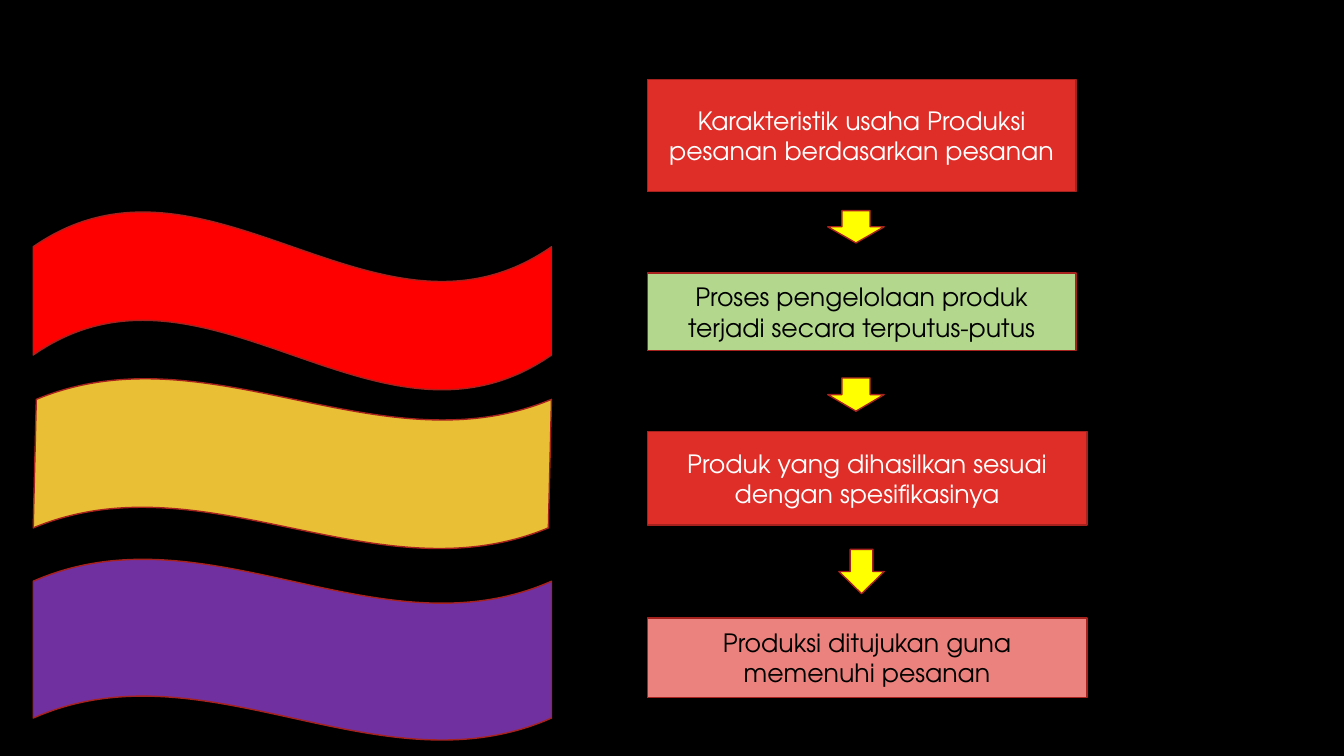
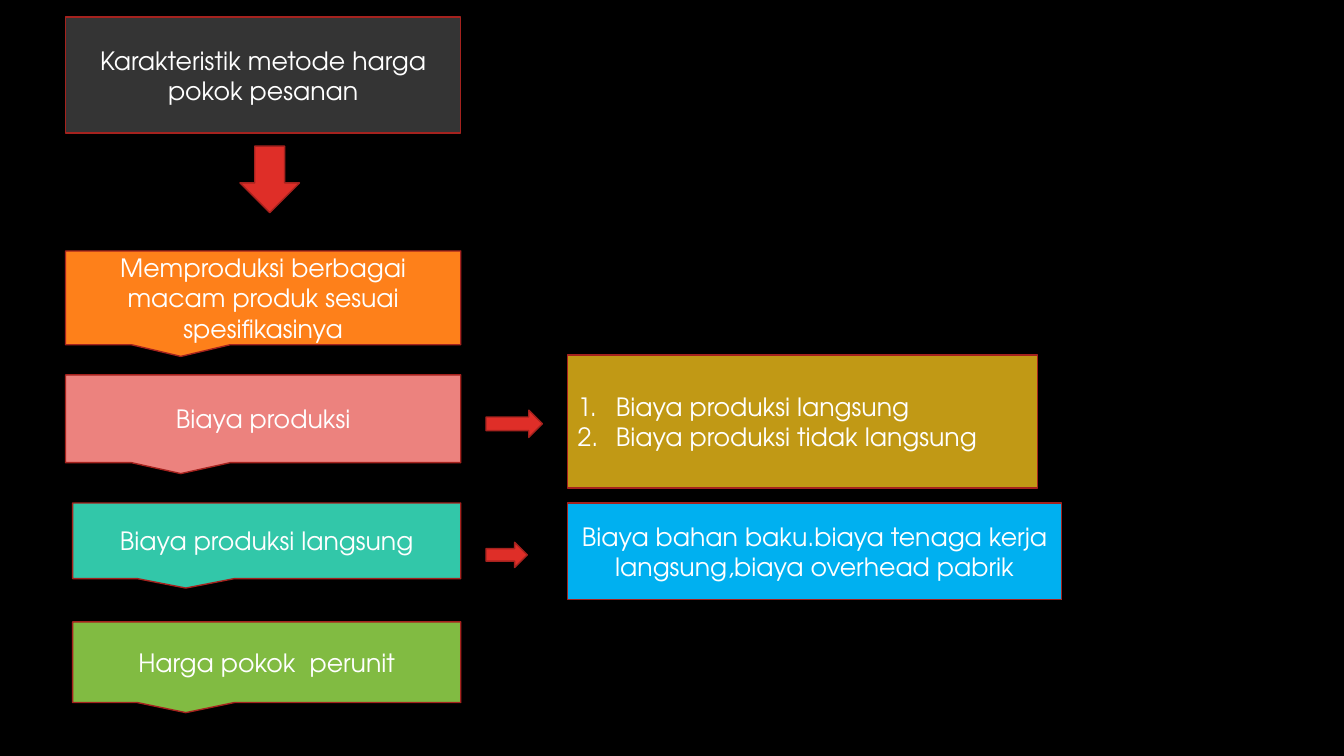
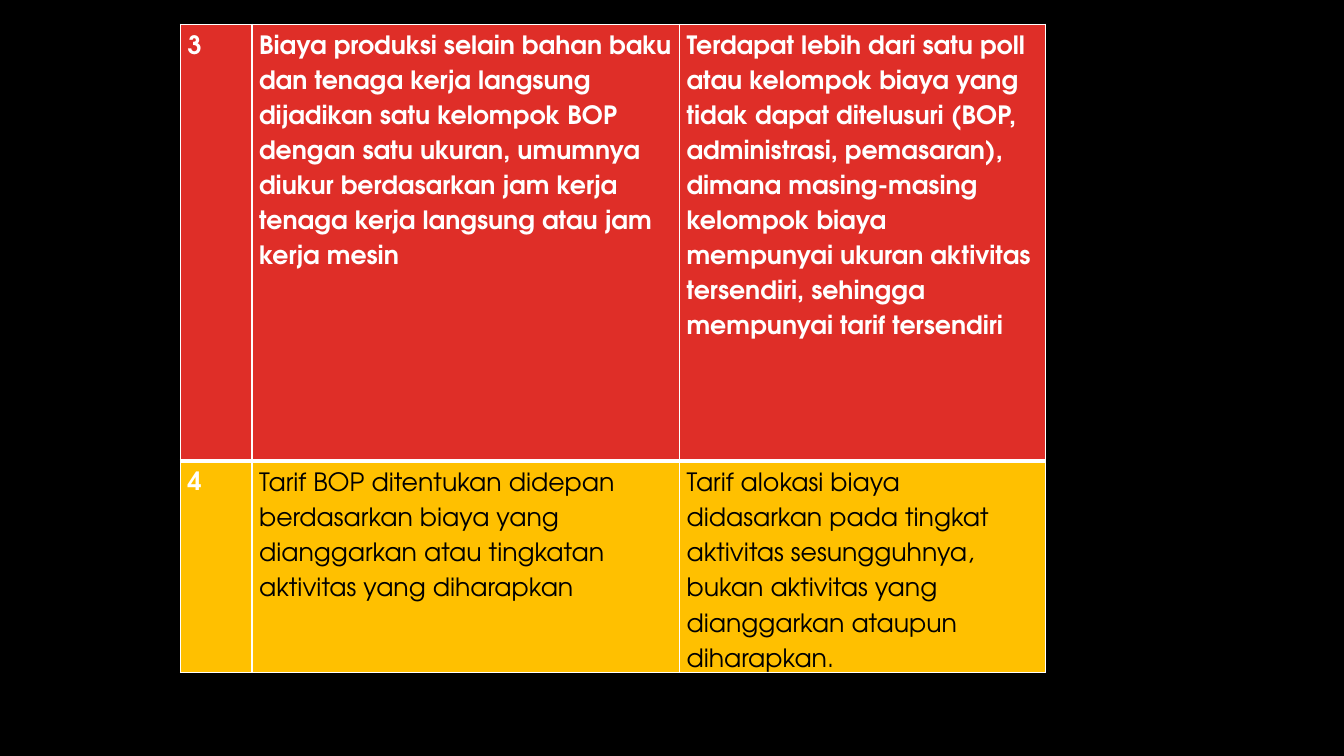
from lxml import etree
from pptx import Presentation
from pptx.dml.color import RGBColor
from pptx.enum.shapes import MSO_SHAPE
from pptx.enum.text import MSO_ANCHOR, PP_ALIGN
from pptx.oxml.ns import qn
from pptx.util import Inches, Pt

PROCESS = MSO_SHAPE.FLOWCHART_PROCESS
CALLOUT = MSO_SHAPE.RECTANGULAR_CALLOUT
DOWN = MSO_SHAPE.DOWN_ARROW
RIGHT = MSO_SHAPE.RIGHT_ARROW
WAVE = MSO_SHAPE.WAVE
MIDDLE = MSO_ANCHOR.MIDDLE
CENTER = PP_ALIGN.CENTER
LEFT = PP_ALIGN.LEFT

FONT = "TeX Gyre Adventor"
BLACK, WHITE = "000000", "FFFFFF"
RED, DARK_RED, PINK = "DF2E28", "A5221E", "EC827E"
YELLOW, AMBER = "FFFF00", "FFC000"


def color(value):
    return RGBColor.from_string(value)


def new_slide(deck):
    slide = deck.slides.add_slide(deck.slide_layouts[6])
    slide.background.fill.solid()
    slide.background.fill.fore_color.rgb = color(BLACK)
    return slide


def style_text(paragraph, text_color, bold=False):
    for run in paragraph.runs:
        run.font.name = FONT
        run.font.size = Pt(18)
        run.font.bold = bold
        run.font.color.rgb = color(text_color)


def add_figure(slide, kind, box, fill):
    figure = slide.shapes.add_shape(kind, *map(Inches, box))
    figure.shadow.inherit = False
    figure.fill.solid()
    figure.fill.fore_color.rgb = color(fill)
    figure.line.color.rgb = color(DARK_RED)
    figure.line.width = Pt(1)
    return figure


def add_step(slide, kind, box, fill, text, text_color=WHITE, numbered=False):
    frame = add_figure(slide, kind, box, fill).text_frame
    frame.word_wrap = True
    frame.vertical_anchor = MIDDLE
    frame.text = text
    for paragraph in frame.paragraphs:
        paragraph.alignment = LEFT if numbered else CENTER
        if numbered:
            properties = paragraph._p.get_or_add_pPr()
            properties.set("marL", str(Inches(0.38)))
            properties.set("indent", str(Inches(-0.38)))
            etree.SubElement(properties, qn("a:buAutoNum"), type="arabicPeriod")
        style_text(paragraph, text_color)


def draw_waves(slide, left, top):
    waves = [
        (0, 1.79, "FF0000", 0.2, 0),
        (1.66, 1.7, "E9BF35", 0.125, -0.003),
        (3.45, 1.81, "7030A0", 0.125, 0),
    ]
    for offset, height, fill, swell, slant in waves:
        wave = add_figure(slide, WAVE, (left, top + offset, 5.14, height), fill)
        wave.adjustments[0] = swell
        wave.adjustments[1] = slant


def draw_order_flow(slide, left, top):
    steps = [
        (0, 4.25, 1.11, RED, WHITE, "Karakteristik usaha Produksi pesanan berdasarkan pesanan"),
        (1.92, 4.25, 0.77, "B3D78D", BLACK, "Proses pengelolaan produk terjadi secara terputus-putus"),
        (3.49, 4.36, 0.93, RED, WHITE, "Produk yang dihasilkan sesuai dengan spesifikasinya"),
        (5.34, 4.36, 0.79, PINK, BLACK, "Produksi ditujukan guna memenuhi pesanan"),
    ]
    for offset, width, height, fill, text_color, text in steps:
        add_step(slide, PROCESS, (left, top + offset, width, height), fill, text, text_color)
    arrows = [(1.3, 0.56, 0.32), (2.96, 0.56, 0.33), (4.66, 0.45, 0.44)]
    for offset, width, height in arrows:
        add_figure(slide, DOWN, (left + 2.35 - width, top + offset, width, height), YELLOW)


def draw_method_column(slide, left, top):
    add_step(slide, PROCESS, (left, top, 3.92, 1.15), "343434",
             "Karakteristik metode harga pokok pesanan")
    add_figure(slide, DOWN, (left + 1.73, top + 1.28, 0.59, 0.66), RED)
    right = left + 3.92
    features = [
        (2.32, 3.92, 0.93, "FE801A", "Memproduksi berbagai macam produk sesuai spesifikasinya"),
        (3.55, 3.92, 0.87, PINK, "Biaya produksi"),
        (4.82, 3.85, 0.75, "32C7A9", "Biaya produksi langsung"),
        (6, 3.85, 0.8, "81BB42", "Harga pokok  perunit"),
    ]
    for offset, width, height, fill, text in features:
        add_step(slide, CALLOUT, (right - width, top + offset, width, height), fill, text)


def draw_cost_details(slide, left, top):
    add_figure(slide, RIGHT, (left, top + 0.55, 0.56, 0.27), RED)
    add_step(slide, PROCESS, (left + 0.81, top, 4.66, 1.32), "C19915",
             "Biaya produksi langsung\nBiaya produksi tidak langsung", numbered=True)
    add_figure(slide, RIGHT, (left, top + 1.86, 0.41, 0.25), RED)
    add_step(slide, PROCESS, (left + 0.81, top + 1.47, 4.9, 0.96), "00B0F0",
             "Biaya bahan baku.biaya tenaga kerja langsung,biaya overhead pabrik")


def set_borders(cell, widths):
    properties = cell._tc.get_or_add_tcPr()
    for position, (side, width) in enumerate(widths.items()):
        line = etree.Element(qn("a:" + side), w=str(Pt(width)))
        fill = etree.SubElement(line, qn("a:solidFill"))
        etree.SubElement(fill, qn("a:srgbClr"), val=WHITE)
        properties.insert(position, line)


def fill_cell(cell, text, fill, text_color, bold, borders):
    cell.fill.solid()
    cell.fill.fore_color.rgb = color(fill)
    cell.margin_left = cell.margin_right = Inches(0.07)
    cell.margin_top = cell.margin_bottom = 0
    cell.text = text
    paragraph = cell.text_frame.paragraphs[0]
    paragraph.line_spacing = 1.5
    style_text(paragraph, text_color, bold)
    set_borders(cell, borders)


def draw_comparison(slide, left, top):
    widths, heights = (0.71, 4.24, 3.63), (4.33, 2.1)
    rows = [
        ("3",
         "Biaya produksi selain bahan baku dan tenaga kerja langsung dijadikan satu kelompok BOP "
         "dengan satu ukuran, umumnya diukur berdasarkan jam kerja tenaga kerja langsung atau jam "
         "kerja mesin",
         "Terdapat lebih dari satu poll atau kelompok biaya yang tidak dapat ditelusuri (BOP, "
         "administrasi, pemasaran), dimana masing-masing kelompok biaya mempunyai ukuran "
         "aktivitas tersendiri, sehingga mempunyai tarif tersendiri"),
        ("4",
         "Tarif BOP ditentukan didepan berdasarkan biaya yang dianggarkan atau tingkatan "
         "aktivitas yang diharapkan",
         "Tarif alokasi biaya didasarkan pada tingkat aktivitas sesungguhnya, bukan aktivitas "
         "yang dianggarkan ataupun diharapkan."),
    ]
    box = map(Inches, (left, top, sum(widths), sum(heights)))
    table = slide.shapes.add_table(len(rows), len(widths), *box).table
    table.horz_banding = False
    for column, width in zip(table.columns, widths):
        column.width = Inches(width)
    for row, height in zip(table.rows, heights):
        row.height = Inches(height)
    for r, texts in enumerate(rows):
        heading = r == 0
        borders = {"lnL": 1, "lnR": 1, "lnT": 1 if heading else 3, "lnB": 3 if heading else 1}
        for c, text in enumerate(texts):
            strong = heading or c == 0
            fill_cell(table.cell(r, c), text, RED if heading else AMBER,
                      WHITE if strong else BLACK, strong, borders)


def main():
    deck = Presentation()
    deck.slide_width, deck.slide_height = Inches(13.33), Inches(7.5)

    production = new_slide(deck)
    draw_waves(production, 0.33, 2.09)
    draw_order_flow(production, 6.42, 0.79)

    method = new_slide(deck)
    draw_method_column(method, 0.65, 0.17)
    draw_cost_details(method, 4.82, 3.52)

    draw_comparison(new_slide(deck), 1.79, 0.24)
    deck.save("out.pptx")


if __name__ == "__main__":
    main()
